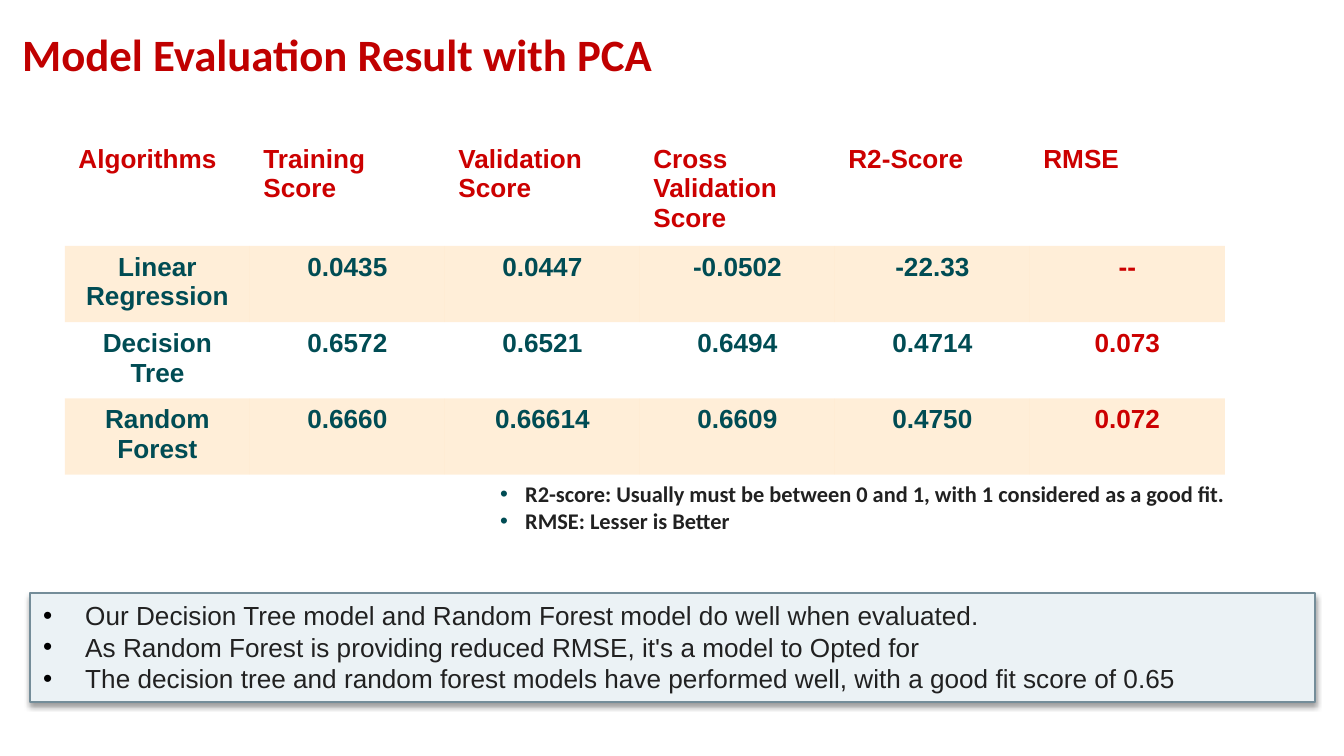
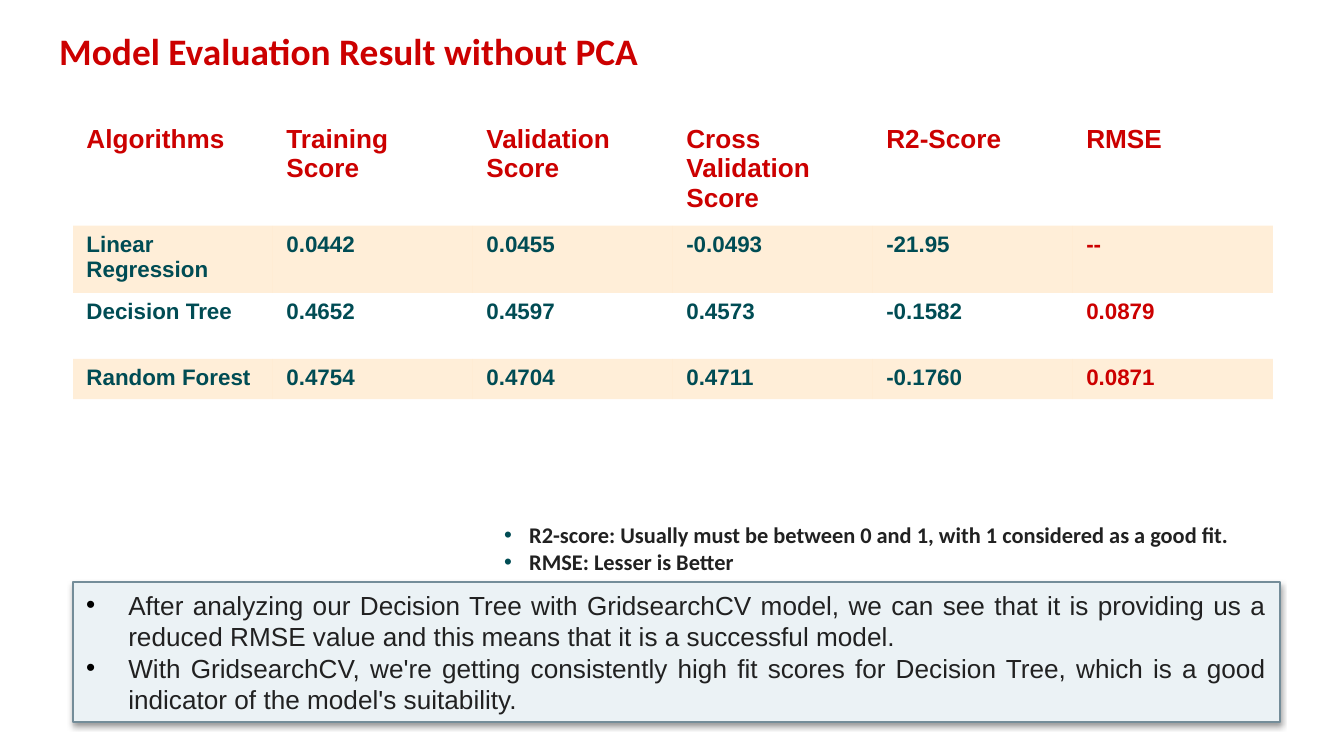
"""Builds two slides that compare model scores with and without PCA."""
from lxml import etree
from pptx import Presentation, util as u
from pptx.dml.color import RGBColor
from pptx.enum import shapes, text
from pptx.oxml import parse_xml
from pptx.oxml.ns import nsdecls, qn

PX = 914400 / 134.4
HUES = {"title": "C00000", "red": "CC0000", "teal": "004C54", "ink": "212121",
        "band": "FFAB40", "panel": "EBF2F5", "edge": "748D99", "black": "000000"}
PLAIN = "{2D5ABB26-0587-4C30-8999-92F81FD0307C}"
LEFT, MID, JUST = text.PP_ALIGN.LEFT, text.PP_ALIGN.CENTER, text.PP_ALIGN.JUSTIFY

HEAD = ["Algorithms", "Training Score", "Validation Score",
        "Cross Validation Score", "R2-Score", "RMSE"]
NOTES = ["R2-score: Usually must be between 0 and 1, with 1 considered as a good fit.",
         "RMSE: Lesser is Better"]
PAGES = [
    {"title": "Model Evaluation Result with PCA",
     "title_at": (9, 13, 1253, 85), "title_size": 24, "title_hue": "title",
     "rows": [["Linear Regression", "0.0435", "0.0447", "-0.0502", "-22.33", "--"],
              ["Decision Tree", "0.6572", "0.6521", "0.6494", "0.4714", "0.073"],
              ["Random Forest", "0.6660", "0.66614", "0.6609", "0.4750", "0.072"]],
     "grid_at": (65, 138), "cols": [185] + [195] * 5, "tall": [108, 76, 76, 76],
     "size": 14, "align": MID,
     "note_at": (487, 474, 887, 67),
     "points": [
         "Our Decision Tree model and Random Forest model do well when evaluated.",
         "As Random Forest is providing reduced RMSE, it's a model to Opted for",
         "The decision tree and random forest models have performed well, "
         "with a good fit score of 0.65"],
     "panel_at": (30, 593, 1285, 109), "panel_align": LEFT,
     "anchor": text.MSO_ANCHOR.TOP},
    {"title": "Model Evaluation Result without PCA",
     "title_at": (46, 15, 1253, 85), "title_size": 20, "title_hue": "red",
     "rows": [["Linear Regression", "0.0442", "0.0455", "-0.0493", "-21.95", "--"],
              ["Decision Tree", "0.4652", "0.4597", "0.4573", "-0.1582", "0.0879"],
              ["Random Forest", "0.4754", "0.4704", "0.4711", "-0.1760", "0.0871"]],
     "grid_at": (73, 118), "cols": [200] * 6, "tall": [102, 63, 66, 39],
     "size": 12, "align": LEFT,
     "note_at": (491, 515, 887, 67),
     "points": [
         "After analyzing our Decision Tree with GridsearchCV model, we can see that "
         "it is providing us a reduced RMSE value and this means that it is a "
         "successful model.",
         "With GridsearchCV, we're getting consistently high fit scores for Decision "
         "Tree, which is a good indicator of the model's suitability."],
     "panel_at": (73, 582, 1207, 140), "panel_align": JUST,
     "anchor": text.MSO_ANCHOR.MIDDLE},
]


def px(*nums):
    """Turns pixels into EMU."""
    return [u.Emu(round(n * PX)) for n in nums]


def rgb(hue):
    """Looks up a colour."""
    return RGBColor.from_string(HUES[hue])


def write(frame, lines, size, hue, font, bold=True, align=LEFT):
    """Fills a text frame, one paragraph a line."""
    frame.word_wrap = True
    frame.text = "\n".join(lines)
    for para in frame.paragraphs:
        para.alignment = align
        for run in para.runs:
            run.font.size, run.font.bold, run.font.name = u.Pt(size), bold, font
            run.font.color.rgb = rgb(hue)


def bullet(frame, inset, hue):
    """Gives each paragraph a hanging bullet."""
    gap = px(inset)[0]
    for para in frame.paragraphs:
        props = para._p.get_or_add_pPr()
        props.set("marL", str(gap))
        props.set("indent", str(-gap))
        tint = etree.SubElement(props, qn("a:buClr"))
        etree.SubElement(tint, qn("a:srgbClr"), val=HUES[hue])
        etree.SubElement(props, qn("a:buFont"), typeface="Arial")
        etree.SubElement(props, qn("a:buChar"), char="•")


def add_title(slide, page):
    """Adds the slide heading."""
    frame = slide.shapes.add_textbox(*px(*page["title_at"])).text_frame
    frame.margin_left = frame.margin_right = u.Inches(0.1)
    frame.margin_top = frame.margin_bottom = u.Inches(0.1)
    write(frame, [page["title"]], page["title_size"], page["title_hue"], "Calibri")


def add_grid(slide, page):
    """Adds the score table with its tinted odd rows."""
    data = [HEAD] + page["rows"]
    spot = page["grid_at"] + (sum(page["cols"]), sum(page["tall"]))
    grid = slide.shapes.add_table(len(data), len(HEAD), *px(*spot)).table
    grid.first_row = grid.horz_banding = False
    grid._tbl.tblPr.find(qn("a:tableStyleId")).text = PLAIN
    for col, wide in zip(grid.columns, px(*page["cols"])):
        col.width = wide
    for row, tall in zip(grid.rows, px(*page["tall"])):
        row.height = tall
    for r, row in enumerate(data):
        for c, word in enumerate(row):
            cell = grid.cell(r, c)
            hue = "red" if r == 0 or c == len(HEAD) - 1 else "teal"
            size, align = (page["size"], page["align"]) if r else (14, LEFT)
            write(cell.text_frame, [word], size, hue, "Arial", align=align)
            if r % 2:
                cell.fill.solid()
                cell.fill.fore_color.rgb = rgb("band")
                tint = cell._tc.tcPr.find(".//" + qn("a:srgbClr"))
                etree.SubElement(tint, qn("a:alpha"), val="20000")
            else:
                cell.fill.background()


def add_note(slide, page):
    """Adds the reading guide below the table."""
    frame = slide.shapes.add_textbox(*px(*page["note_at"])).text_frame
    write(frame, NOTES, 12, "ink", "Calibri")
    bullet(frame, 25, "teal")


def add_panel(slide, page):
    """Adds the shaded box of findings."""
    box = slide.shapes.add_shape(shapes.MSO_SHAPE.RECTANGLE, *px(*page["panel_at"]))
    box.fill.solid()
    box.fill.fore_color.rgb = rgb("panel")
    box.line.color.rgb, box.line.width = rgb("edge"), u.Pt(0.75)
    box._element.spPr.append(parse_xml(
        f'<a:effectLst {nsdecls("a")}><a:outerShdw blurRad="39370" dist="20320" '
        f'dir="5400000" rotWithShape="0"><a:srgbClr val="{HUES["black"]}">'
        '<a:alpha val="38000"/></a:srgbClr></a:outerShdw></a:effectLst>'))
    frame = box.text_frame
    frame.vertical_anchor = page["anchor"]
    write(frame, page["points"], 14, "ink", "Arial", False, page["panel_align"])
    bullet(frame, 42, "black")


def main():
    """Builds and saves the deck."""
    deck = Presentation()
    deck.slide_width, deck.slide_height = px(1344, 756)
    for page in PAGES:
        slide = deck.slides.add_slide(deck.slide_layouts[6])
        for add in (add_title, add_grid, add_note, add_panel):
            add(slide, page)
    deck.save("out.pptx")


if __name__ == "__main__":
    main()
